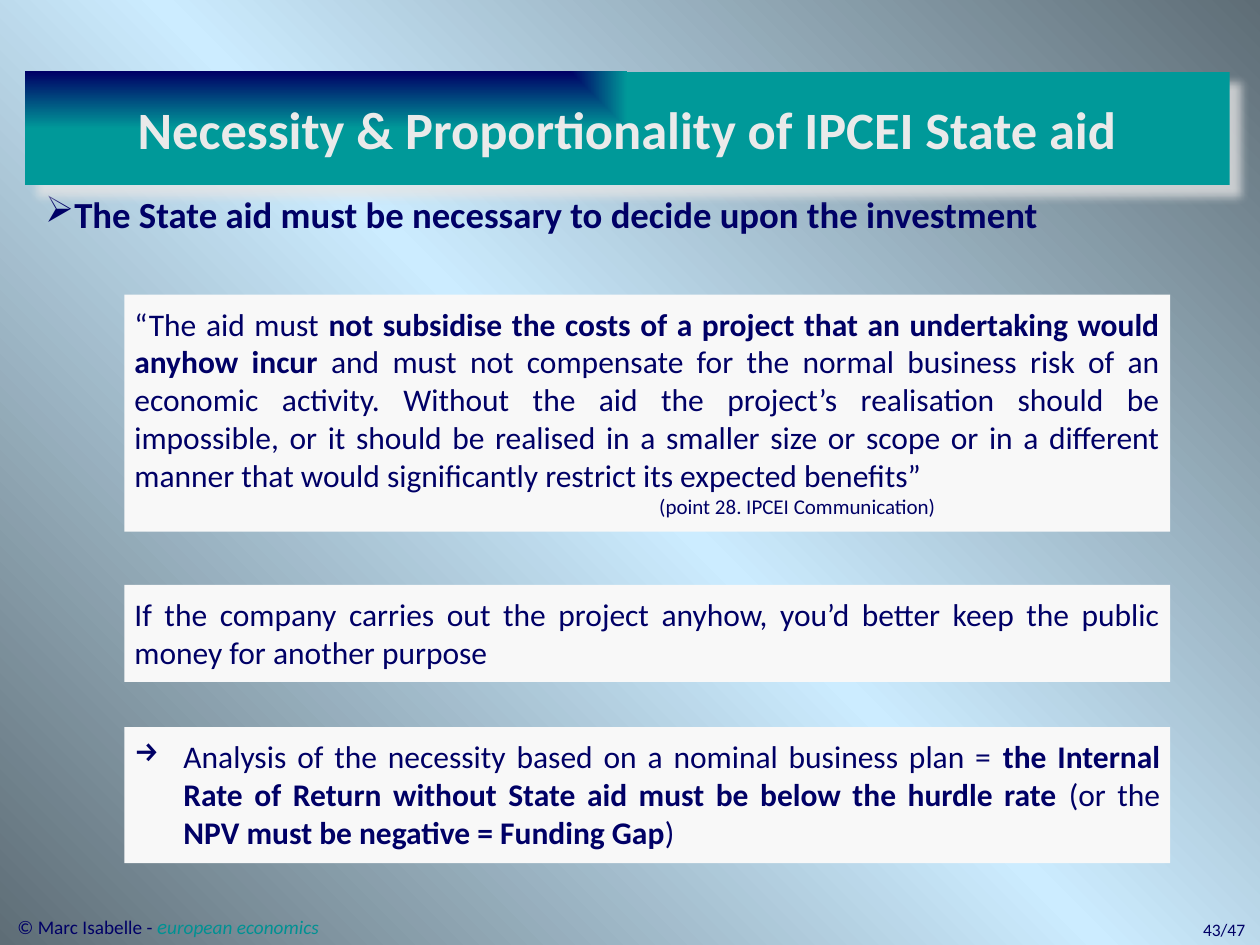
from dataclasses import dataclass
from typing import Optional

from lxml import etree
from pptx import Presentation
from pptx.dml.color import RGBColor
from pptx.enum.shapes import MSO_SHAPE
from pptx.enum.text import MSO_ANCHOR, PP_ALIGN
from pptx.oxml.ns import qn
from pptx.util import Cm, Pt

RECTANGLE = MSO_SHAPE.RECTANGLE
TOP, MIDDLE = MSO_ANCHOR.TOP, MSO_ANCHOR.MIDDLE
LEFT, CENTER, RIGHT, JUSTIFY = PP_ALIGN.LEFT, PP_ALIGN.CENTER, PP_ALIGN.RIGHT, PP_ALIGN.JUSTIFY

FONT = "Calibri"
COLORS = {
    "navy": "000066",
    "teal": "009999",
    "brand": "009193",
    "panel": "F8F8F8",
    "title": "EAEAEA",
    "shadow": "E7E6E6",
    "slate": "5E6D76",
    "sky": "CCECFF",
}


@dataclass
class Run:
    text: str
    bold: Optional[bool] = None
    italic: Optional[bool] = None
    size: Optional[float] = None
    color: Optional[str] = None


@dataclass
class Para:
    runs: list[Run]
    size: float = 18
    align: PP_ALIGN = JUSTIFY
    color: str = "navy"
    bold: Optional[bool] = None
    margin: float = 0
    indent: float = 0
    bullet: str = ""


@dataclass
class Box:
    left: float
    top: float
    width: float
    height: float
    paras: list[Para]
    inset: tuple[float, float] = (0.2, 0.2)
    anchor: MSO_ANCHOR = TOP
    wrap: bool = True


def panel(top: float, height: float, *paras: Para) -> Box:
    return Box(2.51, top, 21.08, height, list(paras))


PANELS = [
    panel(
        5.94, 4.78,
        Para([
            Run("“The aid must "),
            Run("not subsidise the costs of a project that an undertaking would anyhow incur", bold=True),
            Run(" and must not compensate for the normal business risk of an economic activity. "
                "Without the aid the project’s realisation should be impossible, or it should be "
                "realised in a smaller size or scope or in a different manner that would "
                "significantly restrict its expected benefits”"),
        ]),
        Para([Run("(point 28. IPCEI Communication)")], size=12, align=LEFT, margin=10.58),
    ),
    panel(
        11.79, 1.96,
        Para([Run("If the company carries out the project anyhow, you’d better keep "
                  "the public money for another purpose")]),
    ),
    panel(
        14.66, 2.74,
        Para([
            Run("Analysis of the necessity based on a nominal business plan = "),
            Run("the Internal Rate of Return without State aid must be below the hurdle rate", bold=True),
            Run(" (or the"),
            Run(" NPV must be negative = Funding Gap", bold=True),
            Run(")"),
        ], margin=0.99, indent=-0.99, bullet="→"),
    ),
]
HEADING = Box(0.71, 3.66, 22.07, 1.3, [
    Para([Run("The State aid must be necessary to decide upon the investment")],
         size=21, bold=True, indent=-0.91, bullet="➢"),
])
TITLE = Box(0.51, 1.45, 24.28, 2.29, [
    Para([Run("Necessity & Proportionality of IPCEI State aid")],
         size=30, align=CENTER, color="title", bold=True),
], inset=(0.51, 0.51), anchor=MIDDLE)
PAGE_NUMBER = Box(22.33, 18.39, 3.02, 0.69, [
    Para([Run("43/47")], size=10, align=RIGHT),
], inset=(0.25, 0.13))
COPYRIGHT = Box(0.1, 18.29, 6.63, 0.76, [
    Para([
        Run("© Marc Isabelle - "),
        Run("e", italic=True, size=12, color="brand"),
        Run("uropean economics", italic=True, color="brand"),
    ], size=11, align=LEFT),
], inset=(0.25, 0.13), wrap=False)


def rgb(name: str) -> RGBColor:
    return RGBColor.from_string(COLORS[name])


def add(parent, tag: str, **attributes):
    return etree.SubElement(parent, qn(tag), {key: str(value) for key, value in attributes.items()})


def set_stops(gradient, stops: list[tuple[int, str]]) -> None:
    stop_list = gradient.find(qn("a:gsLst"))
    for old_stop in list(stop_list):
        stop_list.remove(old_stop)
    for percent, color in stops:
        add(add(stop_list, "a:gs", pos=percent * 1000), "a:srgbClr", val=COLORS[color])


def write_text(shape, box: Box) -> None:
    frame = shape.text_frame
    frame.word_wrap = box.wrap
    frame.vertical_anchor = box.anchor
    frame.margin_left = frame.margin_right = Cm(box.inset[0])
    frame.margin_top = frame.margin_bottom = Cm(box.inset[1])
    for index, para in enumerate(box.paras):
        paragraph = frame.add_paragraph() if index else frame.paragraphs[0]
        paragraph.alignment = para.align
        properties = paragraph._p.get_or_add_pPr()
        properties.set("marL", str(Cm(para.margin)))
        properties.set("indent", str(Cm(para.indent)))
        if para.bullet:
            add(properties, "a:buChar", char=para.bullet)
        paragraph.font.name = FONT
        paragraph.font.size = Pt(para.size)
        paragraph.font.bold = para.bold
        paragraph.font.color.rgb = rgb(para.color)
        for part in para.runs:
            run = paragraph.add_run()
            run.text = part.text
            run.font.bold = part.bold
            run.font.italic = part.italic
            if part.size:
                run.font.size = Pt(part.size)
            if part.color:
                run.font.color.rgb = rgb(part.color)


def add_text(slide, box: Box) -> None:
    write_text(slide.shapes.add_textbox(Cm(box.left), Cm(box.top), Cm(box.width), Cm(box.height)), box)


def add_panel(slide, box: Box):
    shape = slide.shapes.add_shape(RECTANGLE, Cm(box.left), Cm(box.top), Cm(box.width), Cm(box.height))
    shape.fill.solid()
    shape.fill.fore_color.rgb = rgb("panel")
    shape.line.fill.background()
    shape.shadow.inherit = False
    write_text(shape, box)
    return shape


def add_title(slide, box: Box) -> None:
    banner = add_panel(slide, box)
    banner.fill.gradient()
    properties = banner._element.spPr
    gradient = properties.find(qn("a:gradFill"))
    set_stops(gradient, [(0, "navy"), (100, "teal")])
    gradient.remove(gradient.find(qn("a:lin")))
    focus = add(gradient, "a:path", path="rect")
    add(focus, "a:fillToRect", r=100000, b=100000)
    shadow = add(properties.find(qn("a:effectLst")), "a:outerShdw", blurRad=Pt(5), dist=Pt(8.5),
                 dir=45 * 60000, algn="tl", rotWithShape=0)
    add(add(shadow, "a:srgbClr", val=COLORS["shadow"]), "a:alpha", val=75000)


def paint_background(slide) -> None:
    fill = slide.background.fill
    fill.gradient()
    fill.gradient_angle = 45
    gradient = slide._element.find(".//" + qn("a:gradFill"))
    set_stops(gradient, [(0, "slate"), (50, "sky"), (100, "slate")])


def main() -> None:
    deck = Presentation()
    deck.slide_width, deck.slide_height = Cm(25.4), Cm(19.05)
    slide = deck.slides.add_slide(deck.slide_layouts[6])
    paint_background(slide)
    add_text(slide, PAGE_NUMBER)
    for box in PANELS:
        add_panel(slide, box)
    add_text(slide, HEADING)
    add_title(slide, TITLE)
    add_text(slide, COPYRIGHT)
    deck.save("out.pptx")


if __name__ == "__main__":
    main()
